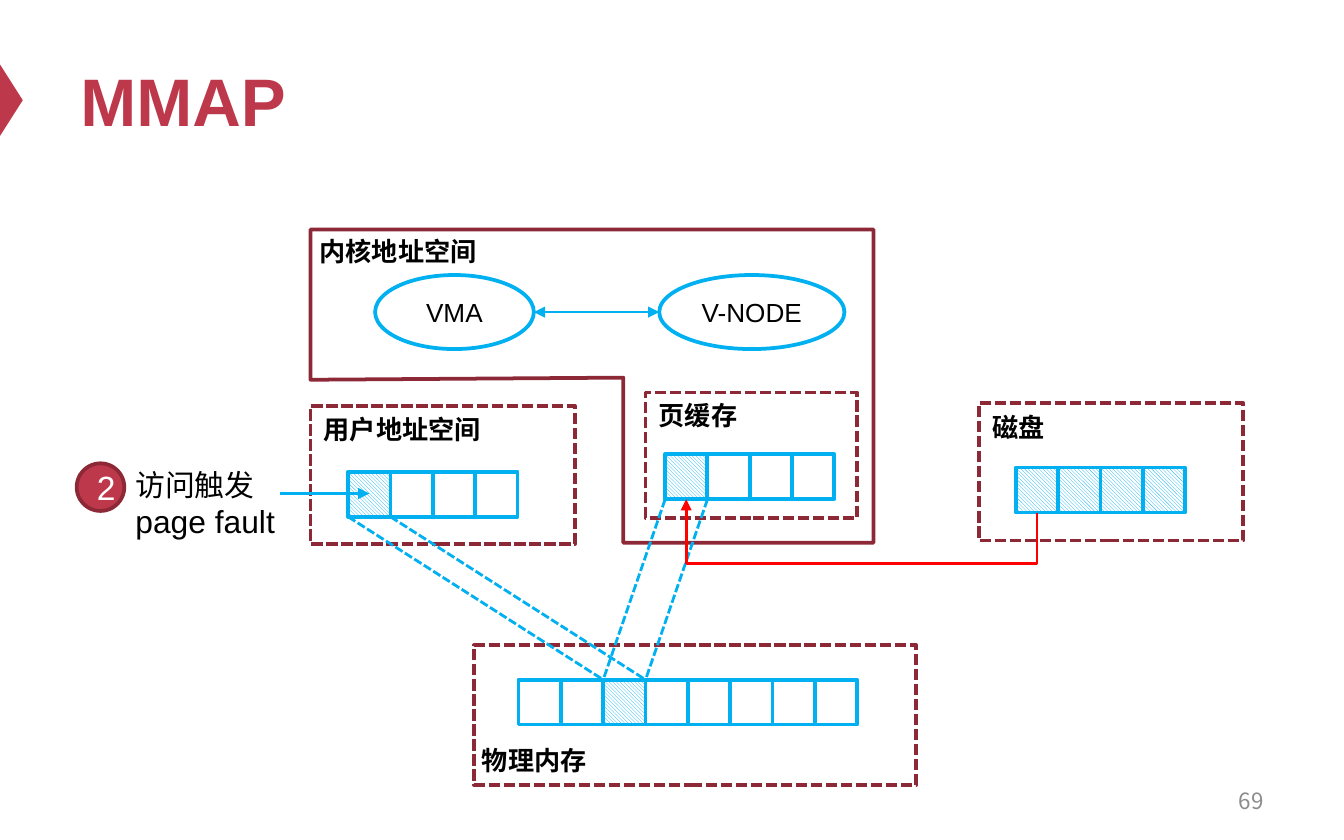
"""Builds the MMAP slide that shows an access triggering a page fault."""
import dataclasses

import lxml.etree
import pptx
import pptx.dml.color
import pptx.enum.dml
import pptx.enum.shapes
import pptx.enum.text
import pptx.oxml.ns
import pptx.util

Cm = pptx.util.Cm
Pt = pptx.util.Pt
qn = pptx.oxml.ns.qn
MSO_SHAPE = pptx.enum.shapes.MSO_SHAPE
MSO_CONNECTOR = pptx.enum.shapes.MSO_CONNECTOR
MSO_ANCHOR = pptx.enum.text.MSO_ANCHOR
PP_ALIGN = pptx.enum.text.PP_ALIGN
SYS_DASH = pptx.enum.dml.MSO_LINE.SQUARE_DOT
HATCH = pptx.enum.dml.MSO_PATTERN.DARK_DOWNWARD_DIAGONAL


@dataclasses.dataclass(frozen=True)
class Theme:
    red: str = "BE384B"
    dark_red: str = "8D2937"
    blue: str = "00B0F0"
    alert: str = "FF0000"
    black: str = "000000"
    white: str = "FFFFFF"
    grey: str = "8C8C8C"
    font: str = "Arial"
    number_font: str = "Noto Sans CJK SC"
    title: int = 36
    badge: int = 18
    latin_note: int = 17
    note: int = 16
    label: int = 14
    number: int = 12
    border: float = 2
    link: float = 1.5


def rgb(value):
    return pptx.dml.color.RGBColor.from_string(value)


class Diagram:
    def __init__(self, slide, theme):
        self.slide = slide
        self.theme = theme

    def fill_text(self, tf, runs, color, anchor=MSO_ANCHOR.TOP, align=PP_ALIGN.LEFT, **extra):
        for name, value in {"word_wrap": True, "vertical_anchor": anchor}.items():
            setattr(tf, name, value)
        p = tf.paragraphs[0]
        p.alignment = align
        for text, size in runs:
            r = p.add_run()
            r.text = text
            formats = {"name": self.theme.font, "size": Pt(size), **extra}
            for name, value in formats.items():
                setattr(r.font, name, value)
            r.font.color.rgb = rgb(color)

    def text(self, x, y, w, h, runs, color=None, **formats):
        sp = self.slide.shapes.add_textbox(Cm(x), Cm(y), Cm(w), Cm(h))
        self.fill_text(sp.text_frame, runs, color or self.theme.black, **formats)

    def label(self, x, y, text):
        self.text(x, y, 3.7, 0.86, [(text, self.theme.label)], bold=True)

    def paint(self, sp, line=None, fill=None, hatched=False, dash=None):
        sp.shadow.inherit = False
        if hatched:
            sp.fill.patterned()
            sp.fill.pattern = HATCH
            sp.fill.fore_color.rgb = rgb(self.theme.blue)
            sp.fill.back_color.rgb = rgb(self.theme.white)
        elif fill:
            sp.fill.solid()
            sp.fill.fore_color.rgb = rgb(fill)
        else:
            sp.fill.background()
        if line:
            sp.line.color.rgb = rgb(line)
            sp.line.width = Pt(self.theme.border)
            sp.line.dash_style = dash
        else:
            sp.line.fill.background()

    def shape(self, kind, x, y, w, h, **style):
        sp = self.slide.shapes.add_shape(kind, Cm(x), Cm(y), Cm(w), Cm(h))
        self.paint(sp, **style)
        return sp

    def region(self, x, y, w, h):
        self.shape(MSO_SHAPE.RECTANGLE, x, y, w, h, line=self.theme.dark_red, dash=SYS_DASH)

    def ellipse(self, x, y, w, h, text):
        sp = self.shape(MSO_SHAPE.OVAL, x, y, w, h, line=self.theme.blue)
        self.fill_text(sp.text_frame, [(text, self.theme.label)], self.theme.black,
                       MSO_ANCHOR.MIDDLE, PP_ALIGN.CENTER)

    def pages(self, x, y, count, hatched):
        for i in range(count):
            self.shape(MSO_SHAPE.RECTANGLE, x + i * PAGE_W, y, PAGE_W, PAGE_H,
                       line=self.theme.blue, hatched=i in hatched)

    def outline(self, points):
        start, *rest = [(Cm(x), Cm(y)) for x, y in points]
        builder = self.slide.shapes.build_freeform(*start)
        builder.add_line_segments(rest, close=True)
        self.paint(builder.convert_to_shape(), line=self.theme.dark_red)

    def line(self, start, end, color, dash=None, ends=(), kind=MSO_CONNECTOR.STRAIGHT):
        c = self.slide.shapes.add_connector(kind, *(Cm(v) for v in (*start, *end)))
        c.line.color.rgb = rgb(color)
        c.line.width = Pt(self.theme.link)
        c.line.dash_style = dash
        spPr = c._element.spPr
        for end_name in ends:
            lxml.etree.SubElement(spPr.find(qn("a:ln")), qn(f"a:{end_name}"), type="triangle")
        lxml.etree.SubElement(spPr, qn("a:effectLst"))
        return c

    def elbow_below(self, start, end, bend_y, color):
        (x1, y1), (x2, y2) = start, end
        span, rise = x1 - x2, y1 - y2
        left, top = (x1 + x2 - rise) / 2, (y1 + y2 - span) / 2
        c = self.line((left, top), (left + rise, top + span), color,
                      ends=["tailEnd"], kind=MSO_CONNECTOR.ELBOW)
        xfrm = c._element.spPr.find(qn("a:xfrm"))
        xfrm.set("rot", "5400000")
        xfrm.set("flipH", "1")
        guides = c._element.spPr.find(qn("a:prstGeom")).find(qn("a:avLst"))
        bend = round((y1 - bend_y) / rise * 100000)
        lxml.etree.SubElement(guides, qn("a:gd"), name="adj1", fmla=f"val {bend}")


PAGE_W, PAGE_H = 0.8, 0.85
USER, CACHE, DISK, MEMORY = (6.58, 8.92), (12.57, 8.59), (19.2, 8.84), (9.8, 12.85)


def main():
    prs = pptx.Presentation()
    prs.slide_width, prs.slide_height = Cm(25.4), Cm(15.88)
    t = Theme()
    d = Diagram(prs.slides.add_slide(prs.slide_layouts[6]), t)

    d.shape(MSO_SHAPE.ISOSCELES_TRIANGLE, -0.46, 1.68, 1.35, 0.43, fill=t.red).rotation = 90
    d.text(1.27, 0.64, 22.86, 2.49, [("MMAP", t.title)], t.red,
           anchor=MSO_ANCHOR.MIDDLE, bold=True)
    d.text(18.21, 14.71, 5.92, 0.84, [("69", t.number)], t.grey,
           anchor=MSO_ANCHOR.MIDDLE, align=PP_ALIGN.RIGHT, name=t.number_font)

    for box in [(5.87, 7.68, 5, 2.6), (12.2, 7.42, 4, 2.37),
                (8.96, 12.2, 8.36, 2.64), (18.5, 7.62, 5, 2.6)]:
        d.region(*box)
    d.outline([(5.87, 4.34), (16.51, 4.34), (16.51, 10.26),
               (11.78, 10.26), (11.78, 7.14), (5.87, 7.18)])
    for x, y, text in [(5.87, 7.7, "用户地址空间"), (5.79, 4.32, "内核地址空间"),
                       (12.2, 7.42, "页缓存"), (8.86, 13.94, "物理内存"),
                       (18.5, 7.65, "磁盘")]:
        d.label(x, y, text)

    for origin, count, hatched in [(USER, 4, {0}), (CACHE, 4, {0}),
                                   (DISK, 4, range(4)), (MEMORY, 8, {2})]:
        d.pages(*origin, count, hatched)
    for x, y in (USER, CACHE):
        for side in (0, PAGE_W):
            d.line((x + side, y + PAGE_H), (MEMORY[0] + 2 * PAGE_W + side, MEMORY[1]),
                   t.blue, dash=SYS_DASH)

    d.ellipse(7.09, 5.2, 3, 1.4, "VMA")
    d.ellipse(12.46, 5.2, 3.5, 1.4, "V-NODE")
    d.line((10.09, 5.9), (12.46, 5.9), t.blue, ends=["headEnd", "tailEnd"])
    d.line((5.3, 9.33), (USER[0] + PAGE_W / 2, 9.33), t.blue, ends=["tailEnd"])
    disk_exit, cache_entry = [(x + PAGE_W / 2, y + PAGE_H) for x, y in (DISK, CACHE)]
    d.elbow_below(disk_exit, cache_entry, 10.66, t.alert)

    d.text(2.31, 8.69, 3.38, 1.68, [("访问触发 ", t.note), ("page fault", t.latin_note)])
    badge = d.shape(MSO_SHAPE.FLOWCHART_CONNECTOR, 1.45, 8.76, 0.9, 0.9,
                    fill=t.red, line=t.dark_red)
    d.fill_text(badge.text_frame, [("2", t.badge)], t.white, MSO_ANCHOR.MIDDLE, PP_ALIGN.CENTER)

    prs.save("out.pptx")


if __name__ == "__main__":
    main()
